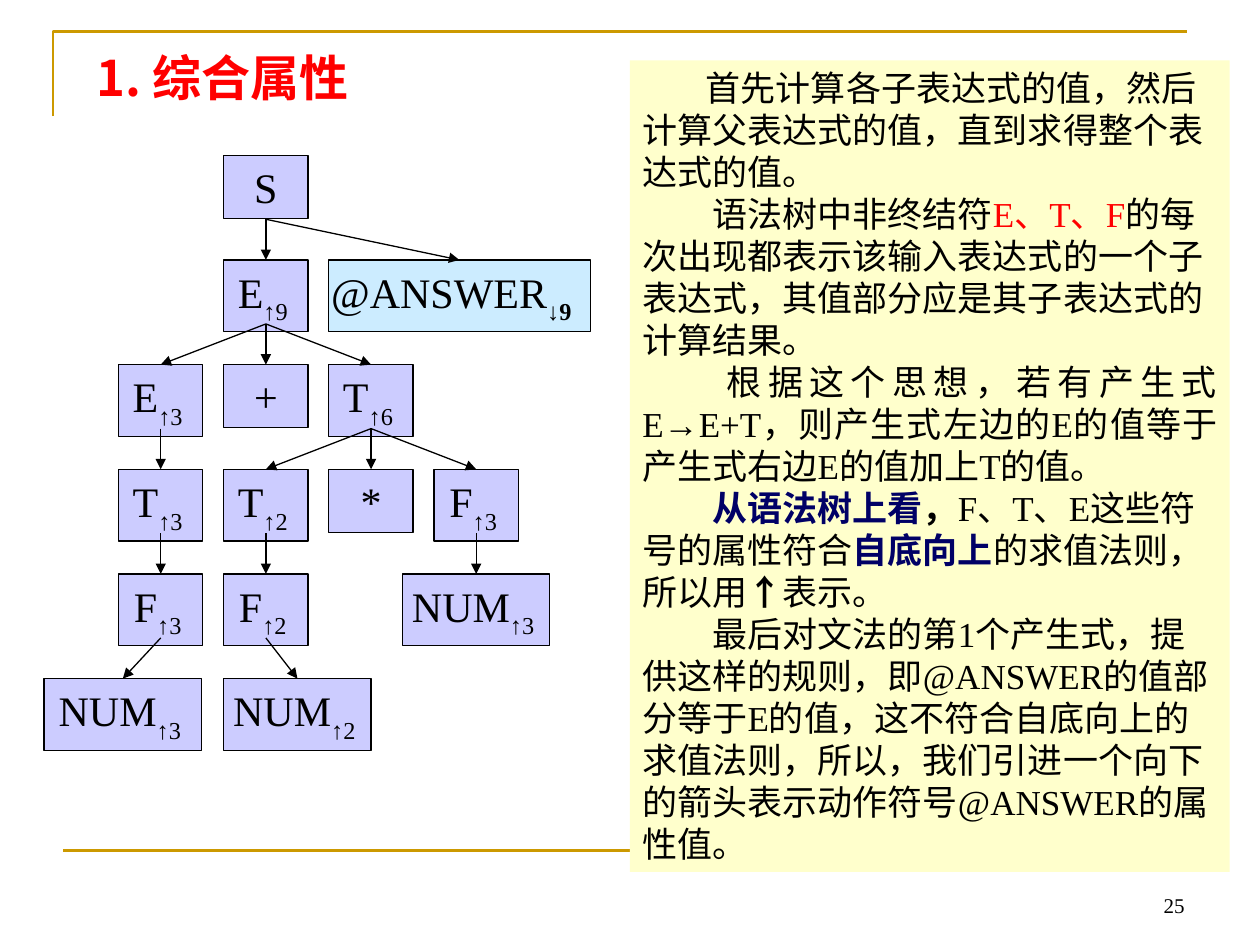
from lxml import etree
from pptx import Presentation
from pptx import util as u
from pptx.dml.color import RGBColor
from pptx.enum import shapes, text
from pptx.oxml import ns

COLORS = {"gold": "CC9900", "red": "FF0000", "black": "000000", "navy": "000066",
          "lilac": "CCCCFF", "sky": "CCECFF", "cream": "FFFFCC"}
LATIN, HAN = "Times New Roman", "Noto Sans CJK SC"
ROW, COLUMN = 2.11, 2.12
NODE_WIDTH, PLAIN_HEIGHT, VALUE_HEIGHT = 1.7, 1.27, 1.45

# key: (symbol, attribute, row, column, width)
NODES = {
    "S": ("S", "", 0, 1, NODE_WIDTH),
    "E9": ("E", "↑9 ", 1, 1, NODE_WIDTH),
    "answer": ("@ANSWER", "↓9 ", 1, 2.84, 5.28),
    "E3": ("E", "↑3 ", 2, 0, NODE_WIDTH),
    "plus": ("+", "", 2, 1, NODE_WIDTH),
    "T6": ("T", "↑6 ", 2, 2, NODE_WIDTH),
    "T3": ("T", "↑3 ", 3, 0, NODE_WIDTH),
    "T2": ("T", "↑2 ", 3, 1, NODE_WIDTH),
    "times": ("*", "", 3, 2, NODE_WIDTH),
    "F3": ("F", "↑3 ", 3, 3, NODE_WIDTH),
    "F3 left": ("F", "↑3 ", 4, 0, NODE_WIDTH),
    "F2": ("F", "↑2 ", 4, 1, NODE_WIDTH),
    "NUM3": ("NUM", "↑3 ", 4, 3, 2.97),
    "NUM3 left": ("NUM", "↑3 ", 5, -0.36, 3.18),
    "NUM2": ("NUM", "↑2 ", 5, 1.3, 2.97),
}
CHILDREN = {
    "S": ["E9", "answer"], "E9": ["E3", "plus", "T6"], "E3": ["T3"],
    "T6": ["T2", "times", "F3"], "T3": ["F3 left"], "T2": ["F2"],
    "F3": ["NUM3"], "F3 left": ["NUM3 left"], "F2": ["NUM2"],
}
JUSTIFY, LEFT = text.PP_ALIGN.JUSTIFY, text.PP_ALIGN.LEFT
# (first-line indent, alignment, [(words, color, bold)])
EXPLANATION = [
    (1.28, LEFT, [("首先计算各子表达式的值，然后计算父表达式的值，直到求得整个表达式的值。", "black", False)]),
    (1.41, LEFT, [
        ("语法树中非终结符", "black", False), ("E、T、F", "red", False),
        ("的每次出现都表示该输入表达式的一个子表达式，其值部分应是其子表达式的计算结果。", "black", False)]),
    (1.7, JUSTIFY, [
        ("根据这个思想，若有产生式E→E+T，则产生式左边的E的值等于产生式右边E的值加上T的值。", "black", False)]),
    (1.41, LEFT, [
        ("从语法树上看", "navy", True), ("，", "black", True),
        ("F、T、E这些符号的属性符合", "black", False), ("自底向上", "navy", True),
        ("的求值法则，所以用", "black", False), ("↑", "black", True), ("表示。", "black", False)]),
    (1.41, LEFT, [
        ("最后对文法的第1个产生式，提供这样的规则，即@ANSWER的值部分等于E的值，"
         "这不符合自底向上的求值法则，所以，我们引进一个向下的箭头表示动作符号@ANSWER的属性值。",
         "black", False)]),
]


def rgb(name):
    """Return the named color."""
    return RGBColor.from_string(COLORS[name])


def add_run(paragraph, words, size, color="black", bold=False, latin=LATIN):
    """Append one formatted run and return it."""
    run = paragraph.add_run()
    run.text = words
    run.font.size, run.font.bold, run.font.name = u.Pt(size), bold, latin
    run.font.color.rgb = rgb(color)
    etree.SubElement(run.font._element, ns.qn("a:ea"), typeface=HAN)
    return run


def add_line(slide, start, end, color, width, arrow=False):
    """Draw a straight line between two points in centimetres."""
    points = [u.Cm(value) for value in (*start, *end)]
    line = slide.shapes.add_connector(shapes.MSO_CONNECTOR.STRAIGHT, *points)
    line.line.color.rgb, line.line.width = rgb(color), u.Pt(width)
    if arrow:
        etree.SubElement(line.line._get_or_add_ln(), ns.qn("a:tailEnd"), type="triangle")
    etree.SubElement(line._element.spPr, ns.qn("a:effectLst"))


def add_box(slide, left, top, width, height, fill):
    """Add a plain filled rectangle with top-anchored wrapping text."""
    box = slide.shapes.add_shape(shapes.MSO_SHAPE.RECTANGLE,
                                 *(u.Cm(value) for value in (left, top, width, height)))
    box.shadow.inherit = False
    box.fill.solid()
    box.fill.fore_color.rgb = rgb(fill)
    box.text_frame.word_wrap = True
    box.text_frame.vertical_anchor = text.MSO_ANCHOR.TOP
    return box


def add_frame(slide, left, top, width, height):
    """Draw the corner rule at the top and the rule at the bottom."""
    builder = slide.shapes.build_freeform(u.Cm(left), u.Cm(top + 1.7))
    builder.add_line_segments([(u.Cm(left), u.Cm(top)),
                               (u.Cm(left + width), u.Cm(top))], close=False)
    corner = builder.convert_to_shape()
    corner.shadow.inherit = False
    corner.fill.background()
    corner.line.color.rgb, corner.line.width = rgb("gold"), u.Pt(1.5)
    bottom = top + height
    add_line(slide, (left + 0.2, bottom), (left + 0.2 + width, bottom), "gold", 1.5)


def add_title(slide, left, top, width, height):
    """Move and format the title placeholder."""
    title = slide.shapes.title
    title.left, title.top, title.width, title.height = map(u.Cm, (left, top, width, height))
    frame = title.text_frame
    frame.auto_size = text.MSO_AUTO_SIZE.NONE
    frame.vertical_anchor = text.MSO_ANCHOR.MIDDLE
    heading = frame.paragraphs[0]
    heading.alignment = LEFT
    add_run(heading, "1. 综合属性", 28, "red", True, HAN)


def add_page_number(slide, left, top, width, height):
    """Write the page number at the bottom right of its box."""
    page = slide.shapes.add_textbox(*map(u.Cm, (left, top, width, height))).text_frame
    page.word_wrap = True
    page.vertical_anchor = text.MSO_ANCHOR.BOTTOM
    page.paragraphs[0].alignment = text.PP_ALIGN.RIGHT
    add_run(page.paragraphs[0], "25", 12)


def add_syntax_tree(slide, left, top):
    """Draw the attributed syntax tree, centred on its columns."""
    def anchor(key):
        """Return the top centre of a node."""
        _, _, row, column, _ = NODES[key]
        return left + column * COLUMN, top + row * ROW

    for key, (symbol, attribute, _, _, width) in NODES.items():
        center, node_top = anchor(key)
        node = add_box(slide, center - width / 2, node_top, width,
                       VALUE_HEIGHT if attribute else PLAIN_HEIGHT,
                       "sky" if key == "answer" else "lilac")
        node.line.color.rgb, node.line.width = rgb("black"), u.Pt(0.75)
        frame = node.text_frame
        frame.margin_left = 0
        frame.margin_right = u.Cm(0.2 if key == "answer" else 0)
        label = frame.paragraphs[0]
        label.alignment = text.PP_ALIGN.CENTER
        add_run(label, symbol, 24)
        if attribute:
            value = add_run(label, attribute, 24, bold=key == "answer")
            value.font._element.set("baseline", "-30000")
    for parent, children in CHILDREN.items():
        center, parent_top = anchor(parent)
        for child in children:
            add_line(slide, (center, parent_top + 1.29), anchor(child), "black", 0.75, True)


def add_explanation(slide, left, top, width, height):
    """Write the explanation in its cream panel."""
    panel = add_box(slide, left, top, width, height, "cream")
    panel.line.fill.background()
    frame = panel.text_frame
    for number, (indent, alignment, runs) in enumerate(EXPLANATION):
        paragraph = frame.add_paragraph() if number else frame.paragraphs[0]
        paragraph.alignment = alignment
        paragraph.line_spacing = u.Pt(24)
        paragraph._p.get_or_add_pPr().set("indent", str(u.Cm(indent)))
        for words, color, bold in runs:
            add_run(paragraph, words, 20, color, bold)


def main():
    """Build and save the slide."""
    deck = Presentation()
    deck.slide_width, deck.slide_height = u.Cm(25.4), u.Cm(19.05)
    slide = deck.slides.add_slide(deck.slide_layouts[5])
    add_frame(slide, 1.07, 0.64, 22.86, 16.51)
    add_page_number(slide, 18.21, 17.35, 5.92, 1.27)
    add_title(slide, 1.7, 0.91, 21.59, 1.27)
    add_syntax_tree(slide, 3.24, 3.13)
    add_explanation(slide, 12.7, 1.22, 12.09, 16.36)
    deck.save("out.pptx")


if __name__ == "__main__":
    main()
